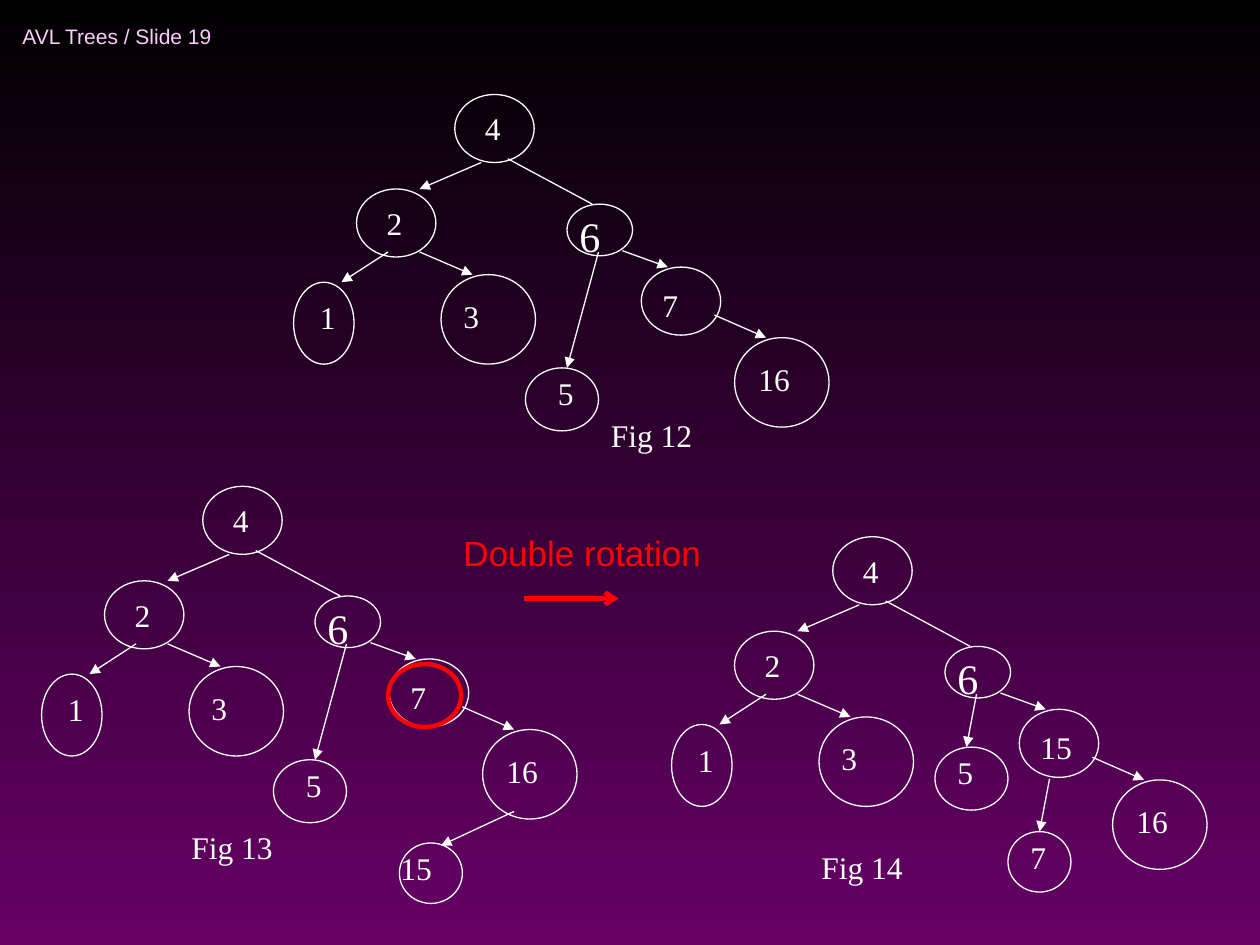
"""Build the slide of three AVL trees before and after a double rotation."""
from dataclasses import dataclass
from typing import Any

from lxml import etree
from pptx import Presentation
from pptx.dml.color import RGBColor
from pptx.enum.shapes import MSO_CONNECTOR, MSO_SHAPE
from pptx.enum.text import MSO_ANCHOR, MSO_AUTO_SIZE
from pptx.oxml.ns import qn
from pptx.util import Inches, Pt

OVAL = MSO_SHAPE.OVAL
STRAIGHT = MSO_CONNECTOR.STRAIGHT
MIDDLE = MSO_ANCHOR.MIDDLE
GROW = MSO_AUTO_SIZE.SHAPE_TO_FIT_TEXT
BLACK = RGBColor(0x00, 0x00, 0x00)
PURPLE = RGBColor(0x66, 0x00, 0x66)
WHITE = RGBColor(0xFF, 0xFF, 0xFF)
PINK = RGBColor(0xFF, 0xCC, 0xFF)
RED = RGBColor(0xFF, 0x00, 0x00)

# Ellipse box, then label box, label and size, relative to the first tree
NODES = [
    ((3.61, 0.75, 0.63, 0.54), (3.75, 0.82, 1.12, 0.4), "4", 18),
    ((2.83, 1.5, 0.63, 0.54), (2.97, 1.57, 0.7, 0.4), "2", 18),
    ((4.5, 1.62, 0.52, 0.41), (4.5, 1.62, 0.52, 0.5), "6", 24),
    ((2.33, 2.24, 0.48, 0.65), (2.44, 2.32, 0.54, 0.4), "1", 18),
    ((3.5, 2.18, 0.75, 0.71), (3.58, 2.31, 1, 0.4), "3", 18),
    ((5.83, 2.68, 0.75, 0.71), (5.92, 2.81, 1, 0.4), "16", 18),
]
EDGES = [
    (3.82, 1.29, 3.33, 1.5),
    (4.94, 1.99, 5.3, 2.12),
    (3.08, 2, 2.71, 2.24),
    (3.33, 2, 3.75, 2.18),
    (5.67, 2.5, 6.08, 2.68),
]
PLAIN_EDGE = (4.03, 1.26, 4.7, 1.62)
RIGHT_OVAL, RIGHT_LABEL = (5.09, 2.12, 0.63, 0.54), (5.16, 2.22, 0.84, 0.4)
LOW_FIVE = ((4.17, 2.92, 0.58, 0.5), (4.33, 2.92, 0.83, 0.4), "5", 18)
HIGH_FIVE = ((4.42, 2.42, 0.58, 0.5), (4.5, 2.42, 0.83, 0.4), "5", 18)
LOW_EDGE, HIGH_EDGE = (4.75, 2, 4.5, 2.92), (4.75, 2, 4.67, 2.42)
LEAF_15 = ((5.17, 3.58, 0.5, 0.48), (5.08, 3.58, 0.83, 0.4), "15", 18)
LEAF_7 = ((5, 3.09, 0.5, 0.48), (5.08, 3.09, 0.83, 0.4), "7", 18)

# Offset, caption, caption position, right child, own nodes, own edges
TREES = [
    ((0, 0), "Fig 12", (4.75, 3.25), "7", [LOW_FIVE], [LOW_EDGE]),
    ((-2, 3.11), "Fig 13", (3.42, 3.41), "7", [LOW_FIVE, LEAF_15],
     [LOW_EDGE, (6.08, 3.33, 5.5, 3.6)]),
    ((3, 3.51), "Fig 14", (3.42, 3.17), "15", [HIGH_FIVE, LEAF_7],
     [HIGH_EDGE, (5.33, 2.67, 5.25, 3.09)]),
]


@dataclass
class Board:
    """Style and drawing methods for the current slide."""

    s: Any
    serif: str = "Times New Roman"
    sans: str = "Arial"
    thin: float = 0.75
    thick: float = 2.5

    def background(self, top, bottom):
        fill = self.s.background.fill
        fill.gradient()
        fill.gradient_angle = 270
        for stop, color in zip(fill.gradient_stops, (top, bottom)):
            stop.color.rgb = color

    def oval(self, shapes, box, color=WHITE, width=None):
        sp = shapes.add_shape(OVAL, *map(Inches, box))
        sp.shadow.inherit = False
        sp.fill.background()
        sp.line.color.rgb = color
        sp.line.width = Pt(width or self.thin)

    def text(self, shapes, box, text, size, color=WHITE, font=None,
             before=11.2, wrap=True):
        sp = shapes.add_textbox(*map(Inches, box))
        tf = sp.text_frame
        tf.word_wrap = wrap
        tf.auto_size = GROW
        p = tf.paragraphs[0]
        p.text = text
        p.space_before = Pt(before)
        p.font.name = font or self.serif
        p.font.size = Pt(size)
        p.font.color.rgb = color
        return sp

    def line(self, shapes, ends, head="triangle", color=WHITE, width=None):
        c = shapes.add_connector(STRAIGHT, *map(Inches, ends))
        c.line.color.rgb = color
        c.line.width = Pt(width or self.thin)
        if head:
            ln = c.line._get_or_add_ln()
            etree.SubElement(ln, qn("a:tailEnd"), type=head)
        etree.SubElement(c._element.spPr, qn("a:effectLst"))

    def tree(self, offset, caption, place, right, nodes, edges):
        dx, dy = offset
        shapes = self.s.shapes.add_group_shape().shapes

        def shift(box):
            return box[0] + dx, box[1] + dy, *box[2:]

        def shift_ends(ends):
            x1, y1, x2, y2 = ends
            return x1 + dx, y1 + dy, x2 + dx, y2 + dy

        child = (RIGHT_OVAL, RIGHT_LABEL, right, 18)
        for oval, label, key, size in NODES + [child] + nodes:
            self.oval(shapes, shift(oval))
            self.text(shapes, shift(label), key, size,
                      before=15 if size == 24 else 11.2)
        for ends in EDGES + edges:
            self.line(shapes, shift_ends(ends))
        self.line(shapes, shift_ends(PLAIN_EDGE), head=None)
        self.text(shapes, shift((*place, 1.25, 0.4)), caption, 18)


def main():
    prs = Presentation()
    prs.slide_width, prs.slide_height = Inches(10), Inches(7.5)
    s = prs.slides.add_slide(prs.slide_layouts[6])
    board = Board(s)
    board.background(BLACK, PURPLE)
    header = board.text(s.shapes, (0.08, 0.08, 2.75, 0.42),
                        "AVL Trees / Slide 19", 12, PINK, board.sans, 0, False)
    header.text_frame.auto_size = MSO_AUTO_SIZE.NONE
    header.text_frame.vertical_anchor = MIDDLE
    for tree in TREES:
        board.tree(*tree)
    board.line(s.shapes, (4.16, 4.75, 4.91, 4.75), "arrow", RED, board.thick)
    board.text(s.shapes, (3.58, 4.17, 2.09, 0.44), "Double rotation", 20,
               RED, board.sans, 5, False)
    board.oval(s.shapes, (3.08, 5.27, 0.58, 0.5), RED, board.thick)
    prs.save("out.pptx")


if __name__ == "__main__":
    main()
